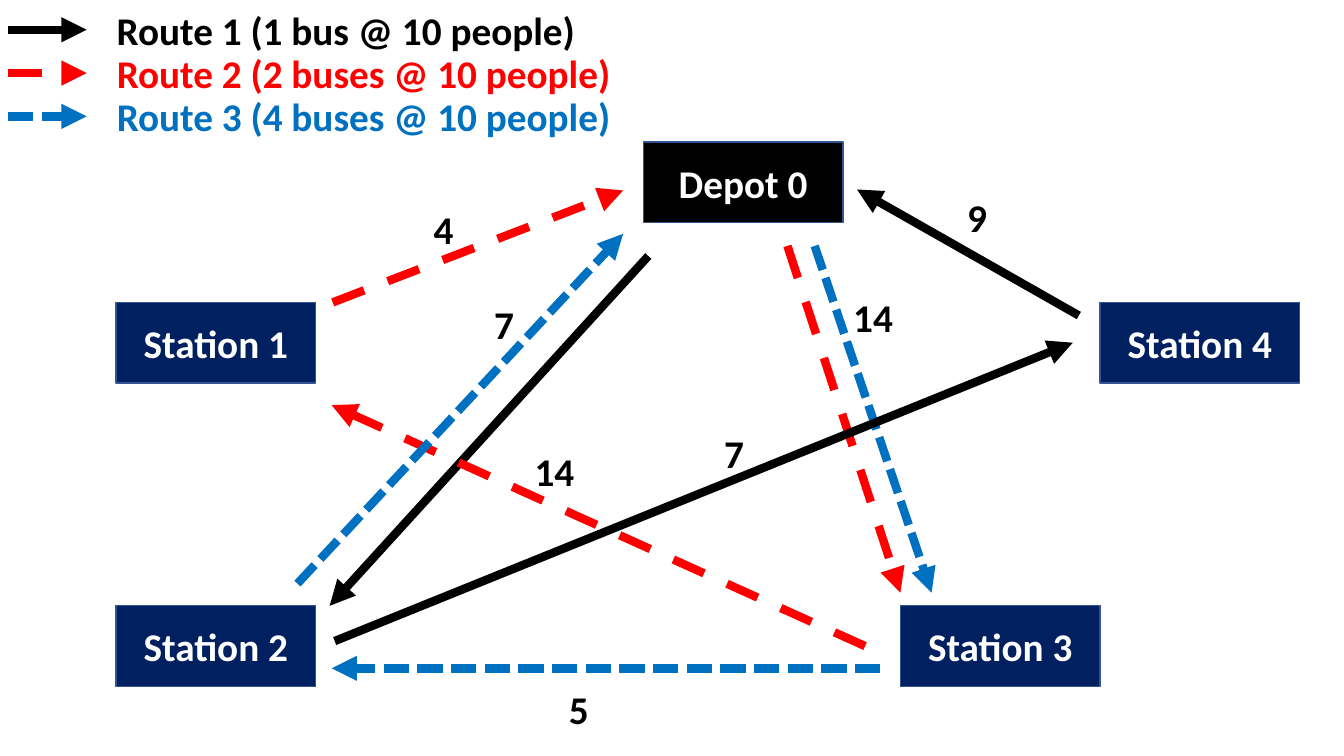
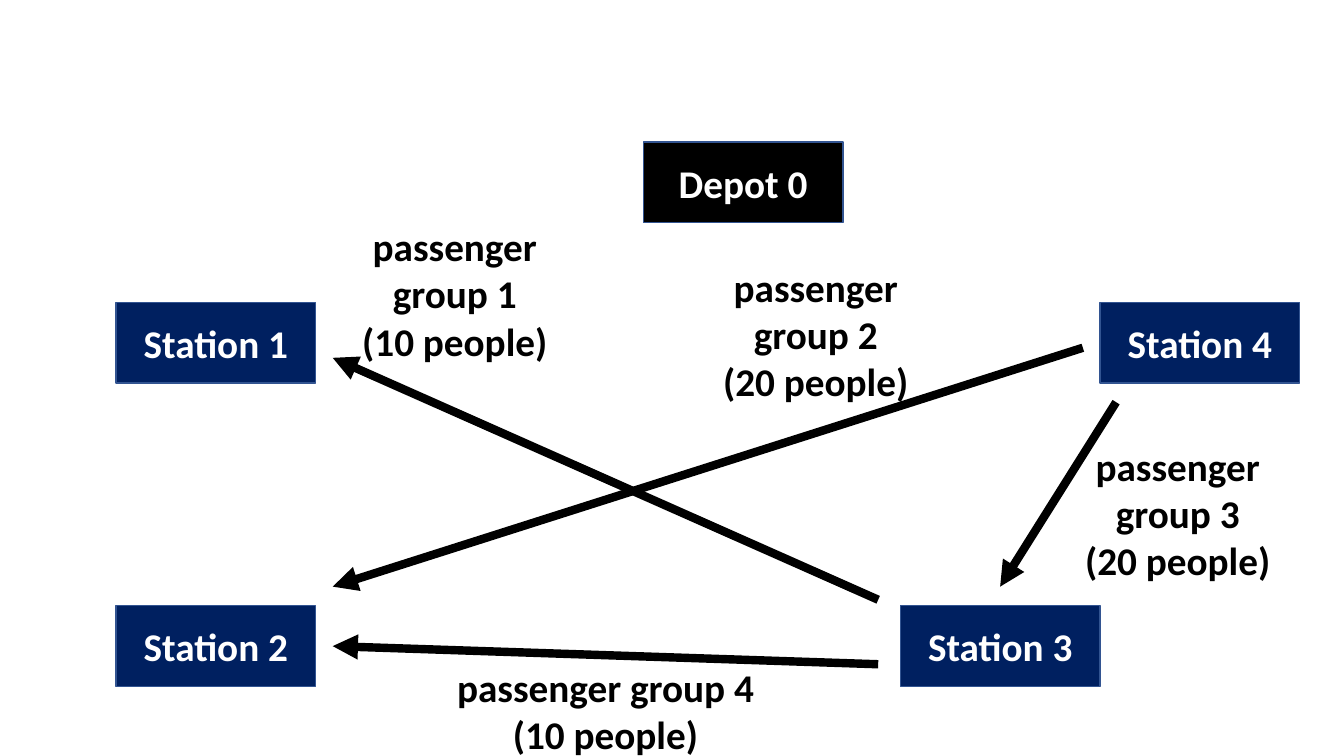
from typing import NamedTuple

from lxml import etree
from pptx import Presentation
from pptx.dml.color import RGBColor
from pptx.enum.dml import MSO_LINE
from pptx.enum.shapes import MSO_CONNECTOR, MSO_SHAPE
from pptx.enum.text import MSO_ANCHOR, MSO_AUTO_SIZE, PP_ALIGN
from pptx.oxml.ns import qn
from pptx.slide import Slide
from pptx.text.text import TextFrame
from pptx.util import Inches, Pt

RECTANGLE = MSO_SHAPE.RECTANGLE
STRAIGHT = MSO_CONNECTOR.STRAIGHT
LONG_DASH = MSO_LINE.DASH
SHORT_DASH = MSO_LINE.SQUARE_DOT
MIDDLE = MSO_ANCHOR.MIDDLE
FIT_SHAPE = MSO_AUTO_SIZE.SHAPE_TO_FIT_TEXT
LEFT = PP_ALIGN.LEFT
CENTER = PP_ALIGN.CENTER

COLORS = {
    "black": "000000",
    "red": "FF0000",
    "blue": "0070C0",
    "navy": "002060",
    "border": "325491",
    "white": "FFFFFF",
}
FONT = "Calibri"
FONT_SIZE = Pt(28)
STOP_WIDTH, STOP_HEIGHT = 1.98, 0.8
LINE_HEIGHT = 0.57
LEGEND_TOP, LEGEND_PITCH = 0.01, 0.43


class Stop(NamedTuple):
    name: str
    left: float
    top: float
    fill: str = "navy"


class Route(NamedTuple):
    caption: str
    color: str
    dash: MSO_LINE | None
    caption_width: float


class Arrow(NamedTuple):
    route: Route
    start: tuple[float, float]
    end: tuple[float, float]


class Label(NamedTuple):
    lines: tuple[str, ...]
    left: float
    top: float
    width: float
    height: float = LINE_HEIGHT
    color: str = "black"
    align: PP_ALIGN = CENTER
    wrap: bool = False


STOPS = [
    Stop("Station 1", 1.15, 3),
    Stop("Station 2", 1.15, 6.01),
    Stop("Depot 0", 6.38, 1.41, "black"),
    Stop("Station 4", 10.91, 3),
    Stop("Station 3", 8.93, 6.01),
]

ROUTE_1 = Route("Route 1 (1 bus @ 10 people)", "black", None, 4.8)
ROUTE_2 = Route("Route 2 (2 buses @ 10 people)", "red", LONG_DASH, 5.15)
ROUTE_3 = Route("Route 3 (4 buses @ 10 people)", "blue", SHORT_DASH, 5.15)

ROUTE_LEGS = [
    Arrow(ROUTE_1, (6.43, 2.54), (3.27, 6.01)),
    Arrow(ROUTE_3, (8.08, 2.44), (9.24, 5.88)),
    Arrow(ROUTE_2, (3.3, 3), (6.18, 1.89)),
    Arrow(ROUTE_2, (7.81, 2.44), (8.93, 5.88)),
    Arrow(ROUTE_2, (8.58, 6.41), (3.29, 4.02)),
    Arrow(ROUTE_1, (3.32, 6.36), (10.64, 3.4)),
    Arrow(ROUTE_1, (10.7, 3.13), (8.5, 1.88)),
    Arrow(ROUTE_3, (8.73, 6.63), (3.29, 6.63)),
    Arrow(ROUTE_3, (2.95, 5.79), (6.18, 2.32)),
]

LEG_LENGTHS = [
    Label(("4",), 4.2, 1.99, 0.4),
    Label(("14",), 5.2, 4.39, 0.6),
    Label(("14",), 8.36, 2.86, 0.6),
    Label(("7",), 4.8, 2.93, 0.4),
    Label(("5",), 5.54, 6.75, 0.4),
    Label(("9",), 9.49, 1.87, 0.4),
    Label(("7",), 7.08, 4.21, 0.4),
]

PASSENGER_TRIPS = [
    Arrow(ROUTE_1, (8.71, 5.95), (3.3, 3.55)),
    Arrow(ROUTE_1, (8.71, 6.59), (3.3, 6.41)),
    Arrow(ROUTE_1, (11.07, 3.99), (9.92, 5.82)),
    Arrow(ROUTE_1, (10.74, 3.45), (3.3, 5.82)),
]

PASSENGER_GROUPS = [
    Label(("passenger group 1", "(10 people)"), 3.32, 2.16, 2.38, 1.51, wrap=True),
    Label(("passenger group 2", "(20 people)"), 6.9, 2.56, 2.38, 1.51, wrap=True),
    Label(("passenger group 3", "(20 people)"), 10.49, 4.34, 2.38, 1.51, wrap=True),
    Label(("passenger group 4", "(10 people)"), 4.21, 6.53, 3.59, 1.04, wrap=True),
]


def rgb(color: str) -> RGBColor:
    return RGBColor.from_string(COLORS[color])


def write_lines(frame: TextFrame, lines: tuple[str, ...], color: str, align: PP_ALIGN) -> None:
    frame.text = "\n".join(lines)
    for paragraph in frame.paragraphs:
        paragraph.alignment = align
        paragraph.font.name = FONT
        paragraph.font.size = FONT_SIZE
        paragraph.font.bold = True
        paragraph.font.color.rgb = rgb(color)


def draw_stop(slide: Slide, stop: Stop) -> None:
    box = slide.shapes.add_shape(
        RECTANGLE, Inches(stop.left), Inches(stop.top), Inches(STOP_WIDTH), Inches(STOP_HEIGHT)
    )
    box.shadow.inherit = False
    box.fill.solid()
    box.fill.fore_color.rgb = rgb(stop.fill)
    box.line.color.rgb = rgb("border")
    box.line.width = Pt(1)
    box.text_frame.vertical_anchor = MIDDLE
    write_lines(box.text_frame, (stop.name,), "white", CENTER)


def draw_arrow(slide: Slide, arrow: Arrow) -> None:
    connector = slide.shapes.add_connector(
        STRAIGHT, *(Inches(value) for value in arrow.start + arrow.end)
    )
    connector.line.color.rgb = rgb(arrow.route.color)
    connector.line.width = Pt(6)
    if arrow.route.dash is not None:
        connector.line.dash_style = arrow.route.dash
    properties = connector.element.spPr
    etree.SubElement(properties.find(qn("a:ln")), qn("a:tailEnd"), type="triangle")
    etree.SubElement(properties, qn("a:effectLst"))


def draw_label(slide: Slide, label: Label) -> None:
    box = slide.shapes.add_textbox(
        Inches(label.left), Inches(label.top), Inches(label.width), Inches(label.height)
    )
    box.text_frame.word_wrap = label.wrap
    box.text_frame.auto_size = FIT_SHAPE
    write_lines(box.text_frame, label.lines, label.color, label.align)


def draw_legend(slide: Slide, routes: list[Route]) -> None:
    for row, route in enumerate(routes):
        top = LEGEND_TOP + row * LEGEND_PITCH
        middle = top + LINE_HEIGHT / 2
        draw_arrow(slide, Arrow(route, (0.08, middle), (0.86, middle)))
        draw_label(
            slide,
            Label((route.caption,), 1.06, top, route.caption_width, color=route.color, align=LEFT),
        )


def draw_network(slide: Slide, arrows: list[Arrow], labels: list[Label]) -> None:
    for stop in STOPS:
        draw_stop(slide, stop)
    for arrow in arrows:
        draw_arrow(slide, arrow)
    for label in labels:
        draw_label(slide, label)


def main() -> None:
    presentation = Presentation()
    presentation.slide_width = Inches(13.33)
    presentation.slide_height = Inches(7.5)
    blank = presentation.slide_layouts[6]

    routes_slide = presentation.slides.add_slide(blank)
    draw_legend(routes_slide, [ROUTE_1, ROUTE_2, ROUTE_3])
    draw_network(routes_slide, ROUTE_LEGS, LEG_LENGTHS)

    passengers_slide = presentation.slides.add_slide(blank)
    draw_network(passengers_slide, PASSENGER_TRIPS, PASSENGER_GROUPS)

    presentation.save("out.pptx")


if __name__ == "__main__":
    main()
